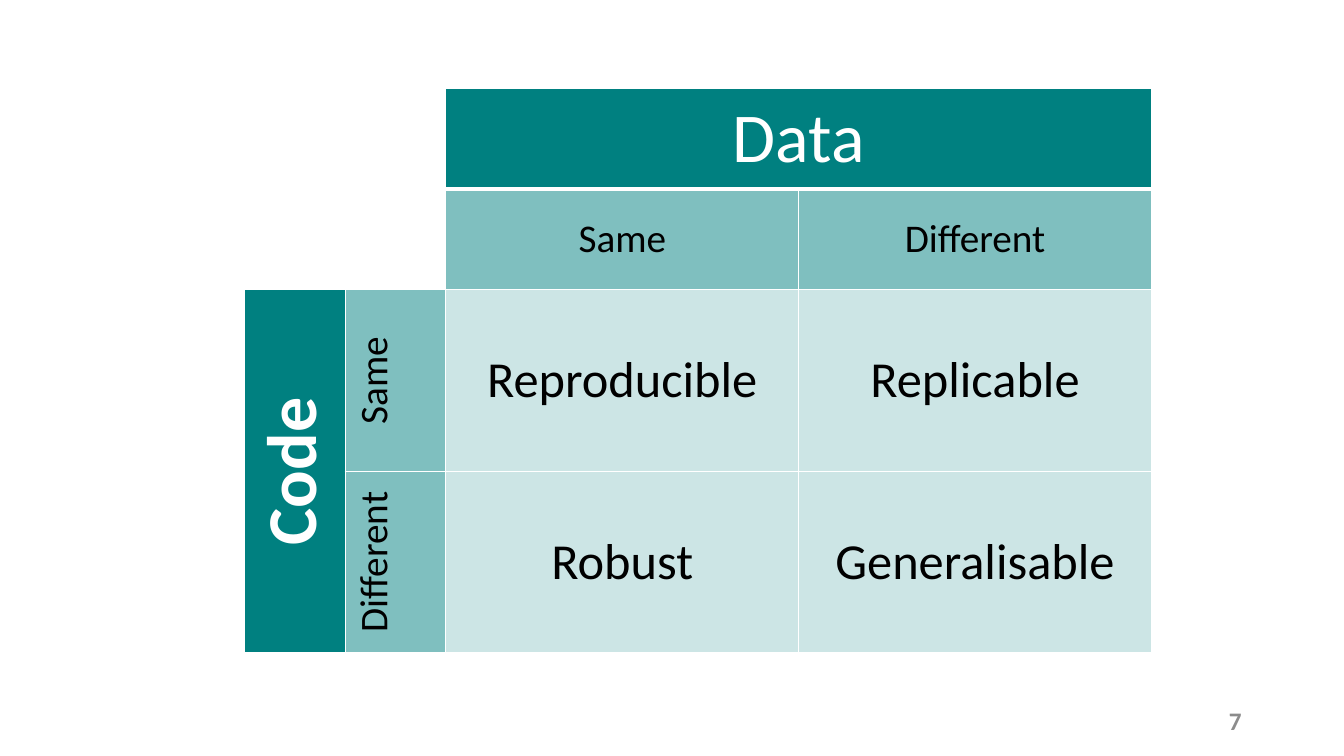
from dataclasses import dataclass
from lxml.etree import SubElement
from pptx import Presentation
from pptx.dml.color import RGBColor
from pptx.enum.text import MSO_ANCHOR, PP_ALIGN
from pptx.oxml.ns import qn
from pptx.util import Pt


@dataclass(frozen=True)
class Theme:
    font: str = "Calibri"
    teal: str = "008080"
    white: str = "FFFFFF"
    black: str = "000000"
    grey: str = "8C8C8C"
    axis_size: int = 50
    level_size: int = 28
    result_size: int = 36
    page_size: int = 18


THEME = Theme()
AXIS = {"size": THEME.axis_size, "color": THEME.white, "opacity": 100}
LEVEL = {"size": THEME.level_size, "color": THEME.black, "opacity": 50}
RESULT = {"size": THEME.result_size, "color": THEME.black, "opacity": 20}
LEVELS = ("Same", "Different")
RESULTS = (("Reproducible", "Replicable"), ("Robust", "Generalisable"))


def write(tf, text, size, color, bold=False, align=PP_ALIGN.CENTER):
    p = tf.paragraphs[0]
    p.alignment = align
    r = p.add_run()
    r.text = text
    for name, value in {"name": THEME.font, "size": Pt(size), "bold": bold}.items():
        setattr(r.font, name, value)
    r.font.color.rgb = RGBColor.from_string(color)


def add_borders(cell, bottom):
    tc_pr = cell._tc.get_or_add_tcPr()
    for side, width in {"L": 1, "R": 1, "T": 1, "B": bottom}.items():
        ln = SubElement(tc_pr, qn(f"a:ln{side}"), w=str(Pt(width)))
        fill = SubElement(ln, qn("a:solidFill"))
        SubElement(fill, qn("a:srgbClr"), val=THEME.white)


def fill_cell(cell, text, style, bold=False, upright=True):
    cell.vertical_anchor = MSO_ANCHOR.MIDDLE
    cell.fill.solid()
    cell.fill.fore_color.rgb = RGBColor.from_string(THEME.teal)
    tc_pr = cell._tc.get_or_add_tcPr()
    if style["opacity"] < 100:
        clr = tc_pr.find(qn("a:solidFill")).find(qn("a:srgbClr"))
        SubElement(clr, qn("a:alpha"), val=str(style["opacity"] * 1000))
    if not upright:
        tc_pr.set("vert", "vert270")
    write(cell.text_frame, text, style["size"], style["color"], bold)


def add_matrix(s, x, y, w, h):
    tbl = s.shapes.add_table(4, 4, Pt(x), Pt(y), Pt(w), Pt(h)).table
    for name in ("first_row", "horz_banding"):
        setattr(tbl, name, False)
    head = 72
    for i in range(4):
        tbl.columns[i].width = Pt(head if i < 2 else (w - 2 * head) / 2)
        tbl.rows[i].height = Pt(head if i < 2 else (h - 2 * head) / 2)
        for j in range(4):
            cell = tbl.cell(i, j)
            add_borders(cell, 3 if i == 0 else 1)
            cell.fill.background()

    tbl.cell(0, 2).merge(tbl.cell(0, 3))
    tbl.cell(2, 0).merge(tbl.cell(3, 0))
    fill_cell(tbl.cell(0, 2), "Data", AXIS)
    fill_cell(tbl.cell(2, 0), "Code", AXIS, bold=True, upright=False)
    for i, level in enumerate(LEVELS, 2):
        fill_cell(tbl.cell(1, i), level, LEVEL)
        fill_cell(tbl.cell(i, 1), level, LEVEL, upright=False)
        for j, result in enumerate(RESULTS[i - 2], 2):
            fill_cell(tbl.cell(i, j), result, RESULT)


def add_page_number(s, x, y, w, h, number):
    tf = s.shapes.add_textbox(Pt(x), Pt(y), Pt(w), Pt(h)).text_frame
    tf.word_wrap = True
    tf.vertical_anchor = MSO_ANCHOR.MIDDLE
    write(tf, str(number), THEME.page_size, THEME.grey, True, PP_ALIGN.RIGHT)


def main():
    prs = Presentation()
    prs.slide_width, prs.slide_height = Pt(960), Pt(540)
    s = prs.slides.add_slide(prs.slide_layouts[6])
    add_matrix(s, 174.5, 63, 648, 403.2)
    add_page_number(s, 678, 500.5, 216, 28.8, 7)
    prs.save("out.pptx")


if __name__ == "__main__":
    main()
